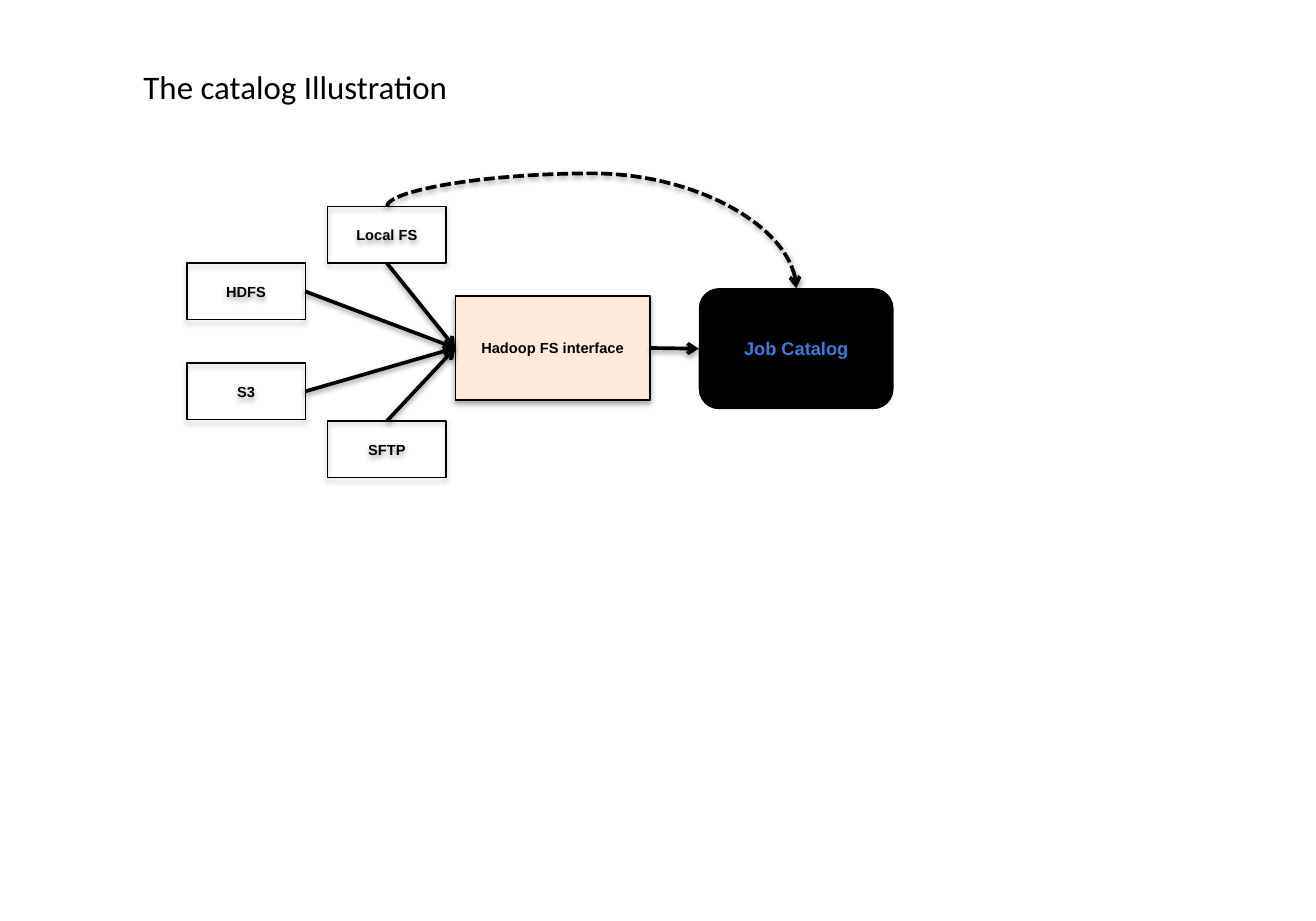
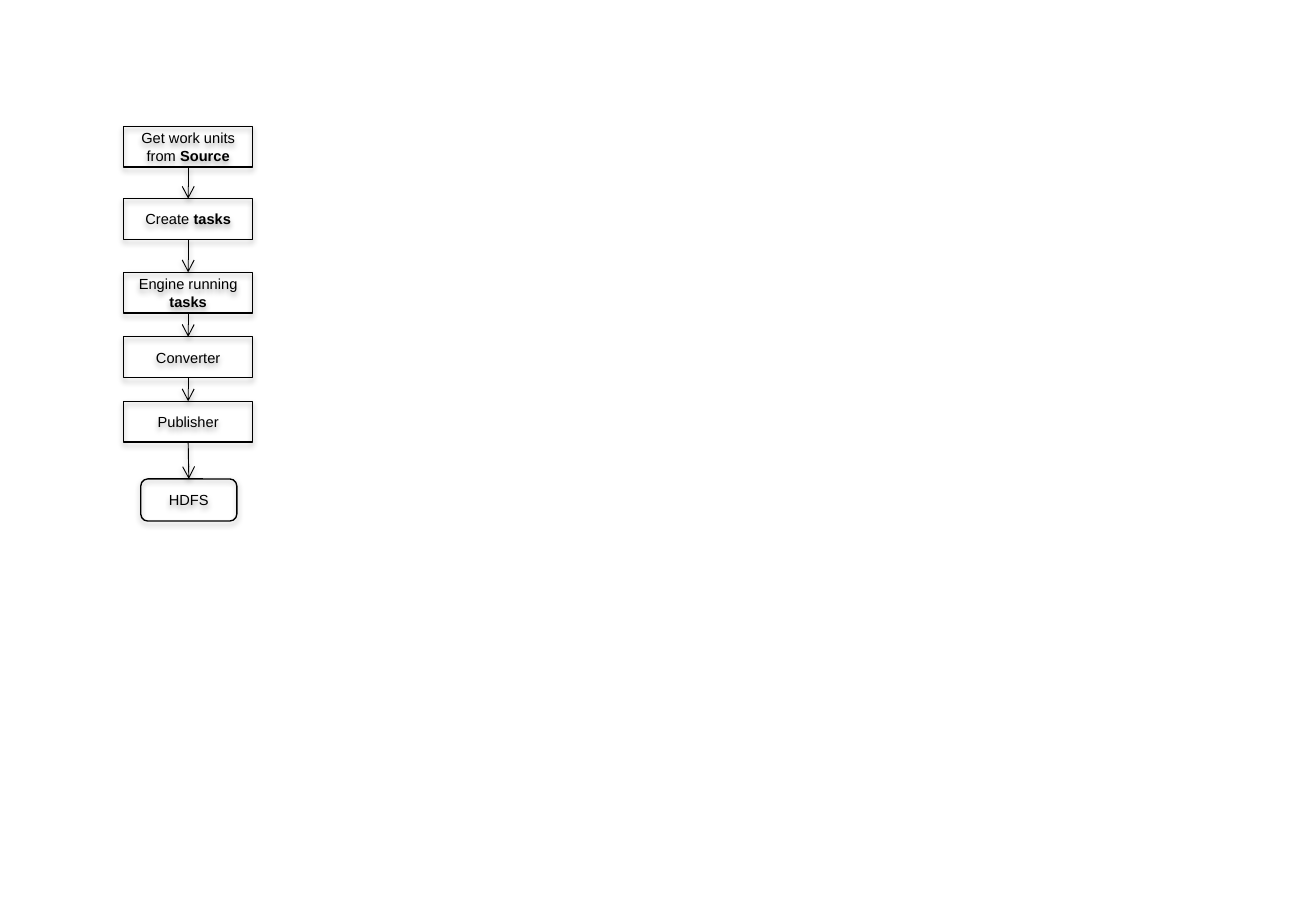
from dataclasses import dataclass

from lxml import etree
from pptx import Presentation
from pptx import util as u
from pptx.dml.color import RGBColor
from pptx.enum import dml, shapes, text
from pptx.oxml.ns import qn

TOP, LEFT, BOTTOM, RIGHT = range(4)
RECT = shapes.MSO_SHAPE.RECTANGLE
ROUND = shapes.MSO_SHAPE.ROUNDED_RECTANGLE


@dataclass(frozen=True)
class Theme:
    ink: str = "000000"
    accent: str = "357DDA"
    peach: str = "FDEADA"
    title_font: str = "Calibri"
    font: str = "Arial"
    title_size: float = 18
    emphasis_size: float = 10
    label_size: float = 8
    box_line: float = 0.75
    thick_line: float = 2
    thin_line: float = 0.5


class Deck:
    """Holds the style and the current slide."""

    def __init__(self, theme):
        self.theme = theme
        self.prs = Presentation()
        self.prs.slide_width, self.prs.slide_height = u.Inches(10), u.Inches(7)
        self.s = None

    def new_slide(self, title=None):
        self.s = self.prs.slides.add_slide(self.prs.slide_layouts[5 if title else 6])
        for ph in list(self.s.placeholders):
            if ph != self.s.shapes.title:
                ph.element.getparent().remove(ph.element)
        if title:
            self.title(title)

    def title(self, words):
        sp = self.s.shapes.title
        sp.left, sp.top = u.Inches(0.99), u.Inches(0.46)
        sp.width, sp.height = u.Inches(3.44), u.Inches(0.4)
        tf = sp.text_frame
        tf.text = words
        tf.auto_size = text.MSO_AUTO_SIZE.NONE
        tf.vertical_anchor = text.MSO_ANCHOR.TOP
        p = tf.paragraphs[0]
        p.alignment = text.PP_ALIGN.LEFT
        self.font(p.font, self.theme.title_size, self.theme.ink, self.theme.title_font)

    def font(self, font, size, color, name=None):
        font.name = name or self.theme.font
        font.size = u.Pt(size)
        font.color.rgb = RGBColor.from_string(color)

    def shadow(self, sp, opacity, distance):
        effects = etree.SubElement(sp.element.spPr, qn("a:effectLst"))
        shadow = etree.SubElement(
            effects, qn("a:outerShdw"), blurRad=str(u.Pt(3.1)),
            dist=str(u.Pt(distance)), dir="5400000", rotWithShape="0")
        color = etree.SubElement(shadow, qn("a:srgbClr"), val=self.theme.ink)
        etree.SubElement(color, qn("a:alpha"), val=str(opacity * 1000))

    def box(self, x, y, w, h, plain="", bold="", kind=RECT, fill=None,
            color=None, size=None, flat=False):
        """A centred label: a plain run, then a bold run."""
        sp = self.s.shapes.add_shape(kind, *map(u.Inches, (x, y, w, h)))
        if fill:
            sp.fill.solid()
            sp.fill.fore_color.rgb = RGBColor.from_string(fill)
        else:
            sp.fill.background()
        if flat:
            sp.line.fill.background()
            sp.shadow.inherit = False
        else:
            sp.line.color.rgb = RGBColor.from_string(self.theme.ink)
            sp.line.width = u.Pt(self.theme.box_line)
            self.shadow(sp, 35, 1.8)
        tf = sp.text_frame
        tf.word_wrap = True
        tf.vertical_anchor = text.MSO_ANCHOR.MIDDLE
        p = tf.paragraphs[0]
        p.alignment = text.PP_ALIGN.CENTER
        self.font(p.font, size or self.theme.label_size, color or self.theme.ink)
        for words, is_bold in ((plain, False), (bold, True)):
            if words:
                r = p.add_run()
                r.text = words
                r.font.bold = is_bold
        return sp

    def stroke(self, cxn, width):
        cxn.line.color.rgb = RGBColor.from_string(self.theme.ink)
        cxn.line.width = u.Pt(width)

    def finish(self, cxn):
        ln = cxn.element.spPr.find(qn("a:ln"))
        etree.SubElement(ln, qn("a:tailEnd"), type="arrow")
        self.shadow(cxn, 38, 1.6)

    def arrow(self, start, start_side, end, end_side, width):
        cxn = self.s.shapes.add_connector(shapes.MSO_CONNECTOR.STRAIGHT, 0, 0, 0, 0)
        cxn.begin_connect(start, start_side)
        cxn.end_connect(end, end_side)
        self.stroke(cxn, width)
        self.finish(cxn)

    def arch(self, start, end, bend, width):
        """A dashed curve from top middle to top middle, as a turned connector."""
        x1, y1 = start.left + start.width // 2, start.top
        x2, y2 = end.left + end.width // 2, end.top
        mid_x, mid_y = (x1 + x2) // 2, (y1 + y2) // 2
        half_w, half_h = (y2 - y1) // 2, (x2 - x1) // 2
        cxn = self.s.shapes.add_connector(
            shapes.MSO_CONNECTOR.CURVE, mid_x - half_w, mid_y - half_h,
            mid_x + half_w, mid_y + half_h)
        sp_pr = cxn.element.spPr
        xfrm = sp_pr.find(qn("a:xfrm"))
        xfrm.set("rot", "16200000")
        xfrm.set("flipH", "1")
        guides = sp_pr.find(qn("a:prstGeom")).find(qn("a:avLst"))
        etree.SubElement(guides, qn("a:gd"), name="adj1", fmla=f"val {bend}")
        self.stroke(cxn, width)
        cxn.line.dash_style = dml.MSO_LINE.SQUARE_DOT
        self.finish(cxn)


def catalog_slide(deck):
    theme = deck.theme
    deck.new_slide("The catalog Illustration")

    # Interface and catalog
    interface = deck.box(3.46, 2.25, 1.48, 0.79, bold="Hadoop FS interface",
                         fill=theme.peach)
    catalog = deck.box(5.31, 2.19, 1.48, 0.92, bold="Job Catalog", kind=ROUND,
                       fill=theme.ink, color=theme.accent,
                       size=theme.emphasis_size, flat=True)
    deck.arrow(interface, RIGHT, catalog, LEFT, theme.thick_line)

    # File systems feeding the interface
    systems = {}
    for name, x, y, side in (("Local FS", 2.49, 1.57, BOTTOM),
                             ("HDFS", 1.42, 2, RIGHT),
                             ("S3", 1.42, 2.76, RIGHT),
                             ("SFTP", 2.49, 3.2, TOP)):
        systems[name] = deck.box(x, y, 0.9, 0.43, bold=name)
        deck.arrow(systems[name], side, interface, LEFT, theme.thick_line)

    # Direct route to the catalog
    deck.arch(systems["Local FS"], catalog, -40700, theme.thick_line)


def task_flow_slide(deck):
    deck.new_slide()

    # Steps from top to bottom
    steps = [deck.box(0.94, y, 0.98, 0.31, plain, bold)
             for y, plain, bold in ((0.96, "Get work units from ", "Source"),
                                    (1.51, "Create ", "tasks"),
                                    (2.07, "Engine running ", "tasks"),
                                    (2.56, "Converter", ""),
                                    (3.05, "Publisher", ""))]
    steps.append(deck.box(1.07, 3.64, 0.73, 0.32, "HDFS", kind=ROUND))

    # Arrows between neighbours
    for upper, lower in zip(steps, steps[1:]):
        deck.arrow(upper, BOTTOM, lower, TOP, deck.theme.thin_line)


def main():
    deck = Deck(Theme())
    catalog_slide(deck)
    task_flow_slide(deck)
    deck.prs.save("out.pptx")


if __name__ == "__main__":
    main()
